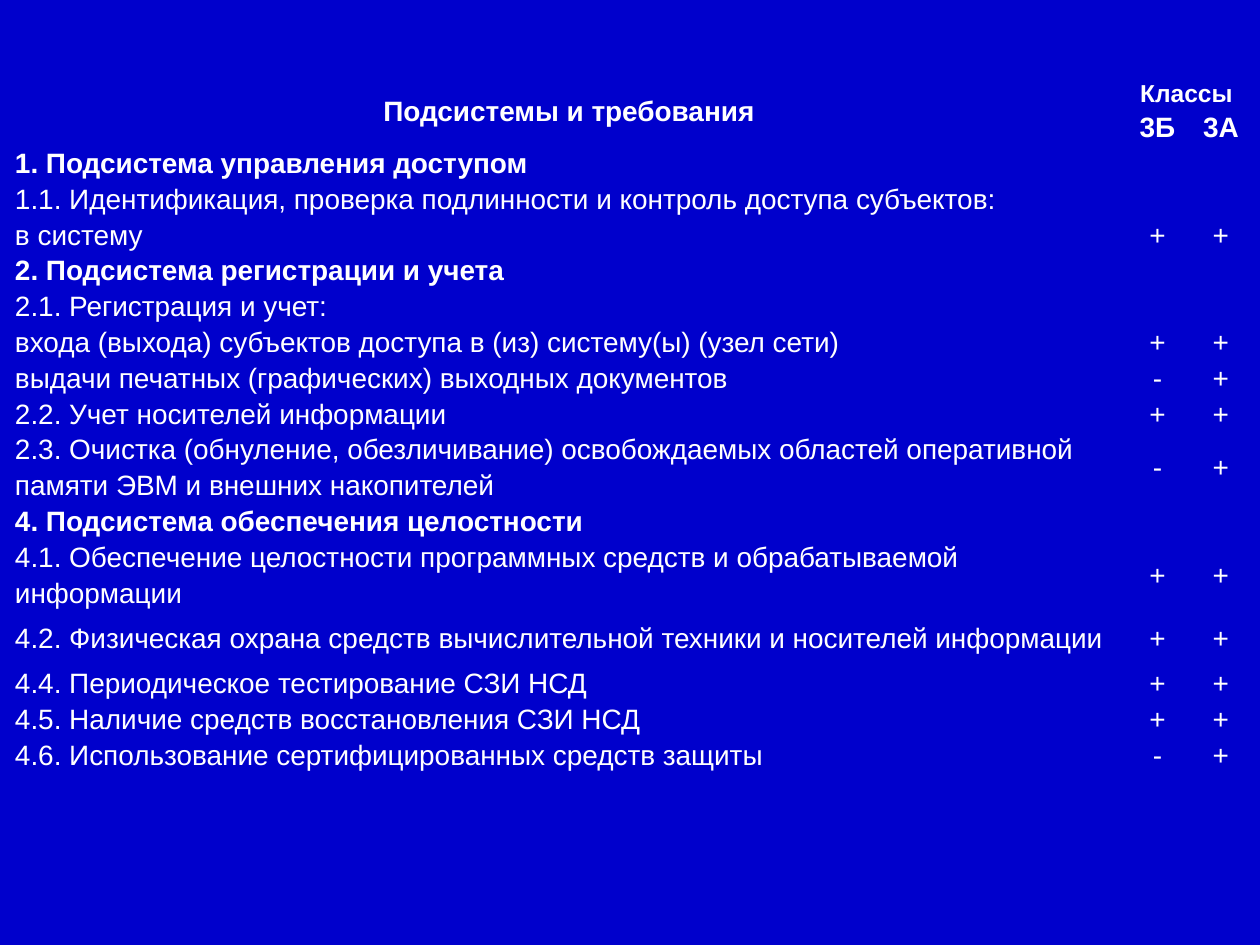
from dataclasses import dataclass

from lxml.etree import SubElement
from pptx import Presentation
from pptx.dml.color import RGBColor
from pptx.enum.text import MSO_ANCHOR as Anchor, PP_ALIGN as Align
from pptx.oxml.ns import qn
from pptx.table import Table, _Cell as Cell
from pptx.util import Pt

EMU_PER_PX = 914400 / 126
NO_STYLE_NO_GRID = "{2D5ABB26-0587-4C30-8999-92F81FD0307C}"


@dataclass(frozen=True)
class Theme:
    background: RGBColor = RGBColor(0x00, 0x00, 0xCC)
    text: RGBColor = RGBColor(0xFF, 0xFF, 0xFF)
    font: str = "Arial"
    body_size: int = 16
    classes_size: int = 14
    line_spacing: float = 1.15


@dataclass(frozen=True)
class Requirement:
    text: str
    marks: str = "  "  # one character per class: 3Б, 3А
    height: int = 28
    section: bool = False


THEME = Theme()
LEFT, TOP, FRAME_HEIGHT = 15, 76, 747
COLUMN_WIDTHS = (1108, 69, 58)
LINE, DOUBLE = 28, 55
CLASSES = ("3Б", "3А")

REQUIREMENTS = (
    Requirement("1. Подсистема управления доступом", section=True),
    Requirement("1.1. Идентификация, проверка подлинности и контроль доступа субъектов:"),
    Requirement("в систему", "++"),
    Requirement("2. Подсистема регистрации и учета", section=True),
    Requirement("2.1. Регистрация и учет:"),
    Requirement("входа (выхода) субъектов доступа в (из) систему(ы) (узел сети)", "++"),
    Requirement("выдачи печатных (графических) выходных документов", "-+"),
    Requirement("2.2. Учет носителей информации", "++"),
    Requirement("2.3. Очистка (обнуление, обезличивание) освобождаемых областей "
                "оперативной памяти ЭВМ и внешних накопителей", "-+", DOUBLE),
    Requirement("4. Подсистема обеспечения целостности", section=True),
    Requirement("4.1. Обеспечение целостности программных средств и "
                "обрабатываемой информации", "++", DOUBLE),
    Requirement("4.2. Физическая охрана средств вычислительной техники и "
                "носителей информации", "++", DOUBLE),
    Requirement("4.4. Периодическое тестирование СЗИ НСД", "++"),
    Requirement("4.5. Наличие средств восстановления СЗИ НСД", "++"),
    Requirement("4.6. Использование сертифицированных средств защиты", "-+"),
)


def px(length: int) -> int:
    return round(length * EMU_PER_PX)


def clear_cell(cell: Cell) -> None:
    """Remove fill and margins, and keep an empty cell no taller than a text line."""
    cell.fill.background()
    cell.vertical_anchor = Anchor.MIDDLE
    cell.margin_left = cell.margin_right = cell.margin_top = cell.margin_bottom = 0
    SubElement(cell.text_frame.paragraphs[0]._p, qn("a:endParaRPr"),
               sz=str(THEME.body_size * 100))


def write_cell(cell: Cell, text: str, align: Align = Align.CENTER,
               bold: bool = False, size: int = THEME.body_size) -> None:
    paragraph = cell.text_frame.paragraphs[0]
    paragraph.text = text
    paragraph.alignment = align
    paragraph.line_spacing = THEME.line_spacing
    font = paragraph.runs[0].font
    font.name, font.size, font.bold = THEME.font, Pt(size), bold
    font.color.rgb = THEME.text


def write_header(table: Table) -> None:
    table.cell(0, 0).merge(table.cell(1, 0))
    table.cell(0, 1).merge(table.cell(0, 2))
    write_cell(table.cell(0, 0), "Подсистемы и требования", bold=True)
    write_cell(table.cell(0, 1), "Классы", bold=True, size=THEME.classes_size)
    for column, name in enumerate(CLASSES, start=1):
        write_cell(table.cell(1, column), name, bold=True)


def write_requirement(table: Table, row: int, requirement: Requirement) -> None:
    write_cell(table.cell(row, 0), requirement.text, Align.LEFT, requirement.section)
    for column, mark in enumerate(requirement.marks, start=1):
        if mark.strip():
            write_cell(table.cell(row, column), mark)


def main() -> None:
    deck = Presentation()
    deck.slide_width, deck.slide_height = px(1260), px(945)
    slide = deck.slides.add_slide(deck.slide_layouts[6])
    slide.background.fill.solid()
    slide.background.fill.fore_color.rgb = THEME.background

    heights = [LINE, LINE] + [requirement.height for requirement in REQUIREMENTS]
    frame = slide.shapes.add_table(len(heights), len(COLUMN_WIDTHS), px(LEFT), px(TOP),
                                   px(sum(COLUMN_WIDTHS)), px(FRAME_HEIGHT))
    table = frame.table
    table.first_row = table.horz_banding = False
    table._tbl.tblPr.find(qn("a:tableStyleId")).text = NO_STYLE_NO_GRID
    for column, width in zip(table.columns, COLUMN_WIDTHS):
        column.width = px(width)
    for row, height in zip(table.rows, heights):
        row.height = px(height)
    frame.height = px(FRAME_HEIGHT)

    for cell in table.iter_cells():
        clear_cell(cell)
    write_header(table)
    for row, requirement in enumerate(REQUIREMENTS, start=2):
        write_requirement(table, row, requirement)
    deck.save("out.pptx")


if __name__ == "__main__":
    main()
